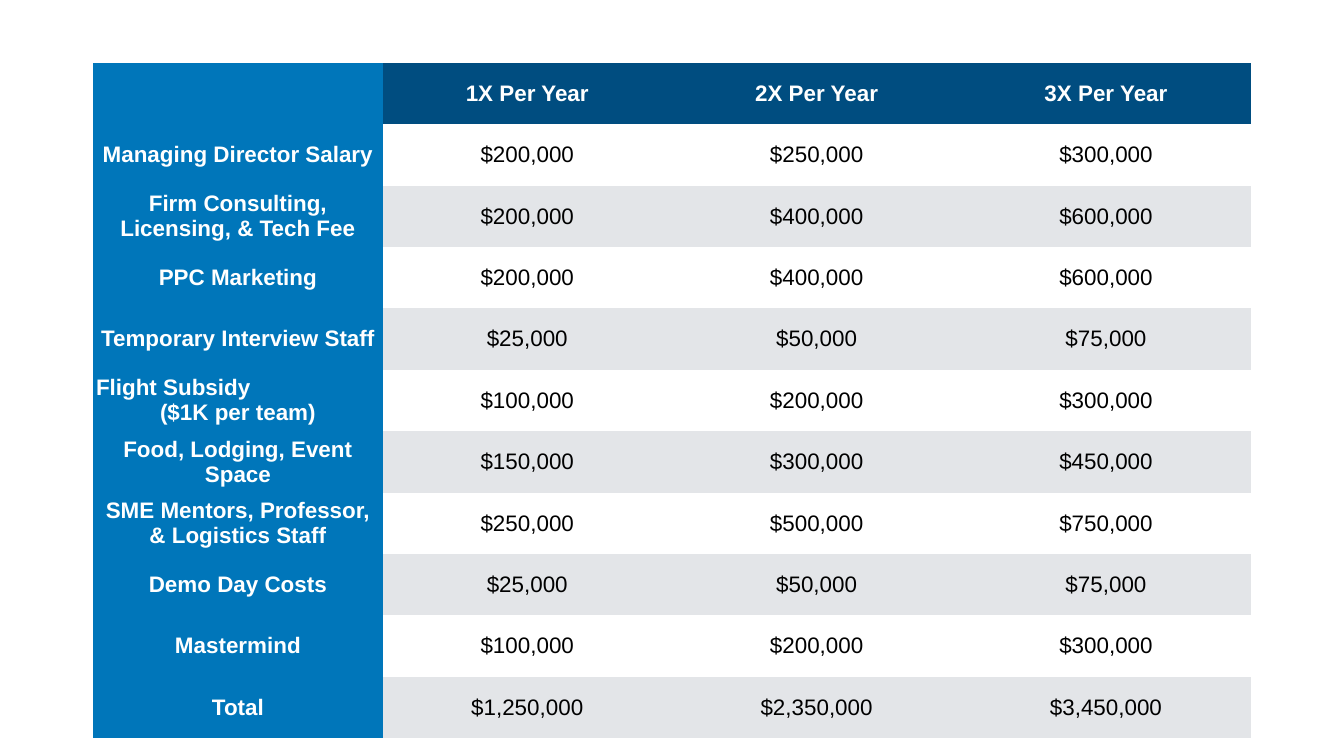
from pptx import Presentation
from pptx.dml.color import RGBColor
from pptx.enum.text import MSO_ANCHOR, PP_ALIGN
from pptx.oxml.ns import qn
from pptx.util import Pt

CENTER, LEFT = PP_ALIGN.CENTER, PP_ALIGN.LEFT
MIDDLE = MSO_ANCHOR.MIDDLE

# Content: one row per cost, one column per yearly frequency
FLIGHTS = "Flight Subsidy\n($1K per team)"
BUDGET = [
    ("", "1X Per Year", "2X Per Year", "3X Per Year"),
    ("Managing Director Salary", "$200,000", "$250,000", "$300,000"),
    ("Firm Consulting, Licensing, & Tech Fee", "$200,000", "$400,000", "$600,000"),
    ("PPC Marketing", "$200,000", "$400,000", "$600,000"),
    ("Temporary Interview Staff", "$25,000", "$50,000", "$75,000"),
    (FLIGHTS, "$100,000", "$200,000", "$300,000"),
    ("Food, Lodging, Event Space", "$150,000", "$300,000", "$450,000"),
    ("SME Mentors, Professor, & Logistics Staff", "$250,000", "$500,000", "$750,000"),
    ("Demo Day Costs", "$25,000", "$50,000", "$75,000"),
    ("Mastermind", "$100,000", "$200,000", "$300,000"),
    ("Total", "$1,250,000", "$2,350,000", "$3,450,000"),
]

# Format
COLORS = {
    "header": "004D80",
    "label": "0076BA",
    "odd": "FFFFFF",
    "even": "E3E5E8",
    "light_text": "FFFFFF",
    "dark_text": "000000",
}
SLIDE_WIDTH, SLIDE_HEIGHT = 1920, 1080
TABLE_LEFT, TABLE_TOP = 133.2, 90
COLUMN_WIDTH, ROW_HEIGHT = 413.4, 87.7
CELL_FORMAT = {
    "vertical_anchor": MIDDLE,
    "margin_left": Pt(4),
    "margin_right": Pt(4),
    "margin_top": Pt(4),
    "margin_bottom": Pt(4),
}
FONT_FORMAT = {"name": "Arial", "size": Pt(32)}
NO_GRID_STYLE = "{2D5ABB26-0587-4C30-8999-92F81FD0307C}"


def set_all(target, values):
    for attribute, value in values.items():
        setattr(target, attribute, value)


def fill_name(row, column):
    if column == 0:
        return "label"
    if row == 0:
        return "header"
    return "odd" if row % 2 else "even"


def write_cell(cell, text, row, column):
    set_all(cell, CELL_FORMAT)
    cell.fill.solid()
    cell.fill.fore_color.rgb = RGBColor.from_string(COLORS[fill_name(row, column)])
    heading = row == 0 or column == 0
    text_color = COLORS["light_text" if heading else "dark_text"]
    cell.text = text
    for paragraph in cell.text_frame.paragraphs:
        paragraph.alignment = CENTER
        set_all(paragraph.font, FONT_FORMAT)
        for run in paragraph.runs:
            set_all(run.font, FONT_FORMAT)
            run.font.bold = heading
            run.font.color.rgb = RGBColor.from_string(text_color)
    if text == FLIGHTS:
        cell.text_frame.paragraphs[0].alignment = LEFT


def main():
    deck = Presentation()
    deck.slide_width, deck.slide_height = Pt(SLIDE_WIDTH), Pt(SLIDE_HEIGHT)
    slide = deck.slides.add_slide(deck.slide_layouts[6])

    # Budget table
    rows, columns = len(BUDGET), len(BUDGET[0])
    budget_table = slide.shapes.add_table(
        rows, columns, Pt(TABLE_LEFT), Pt(TABLE_TOP),
        Pt(columns * COLUMN_WIDTH), Pt(rows * ROW_HEIGHT),
    ).table
    set_all(budget_table, {"first_col": True, "horz_banding": True})
    budget_table._tbl.tblPr.find(qn("a:tableStyleId")).text = NO_GRID_STYLE
    for table_column in budget_table.columns:
        table_column.width = Pt(COLUMN_WIDTH)
    for table_row in budget_table.rows:
        table_row.height = Pt(ROW_HEIGHT)

    # Cells
    for row, entries in enumerate(BUDGET):
        for column, text in enumerate(entries):
            write_cell(budget_table.cell(row, column), text, row, column)

    deck.save("out.pptx")


if __name__ == "__main__":
    main()
